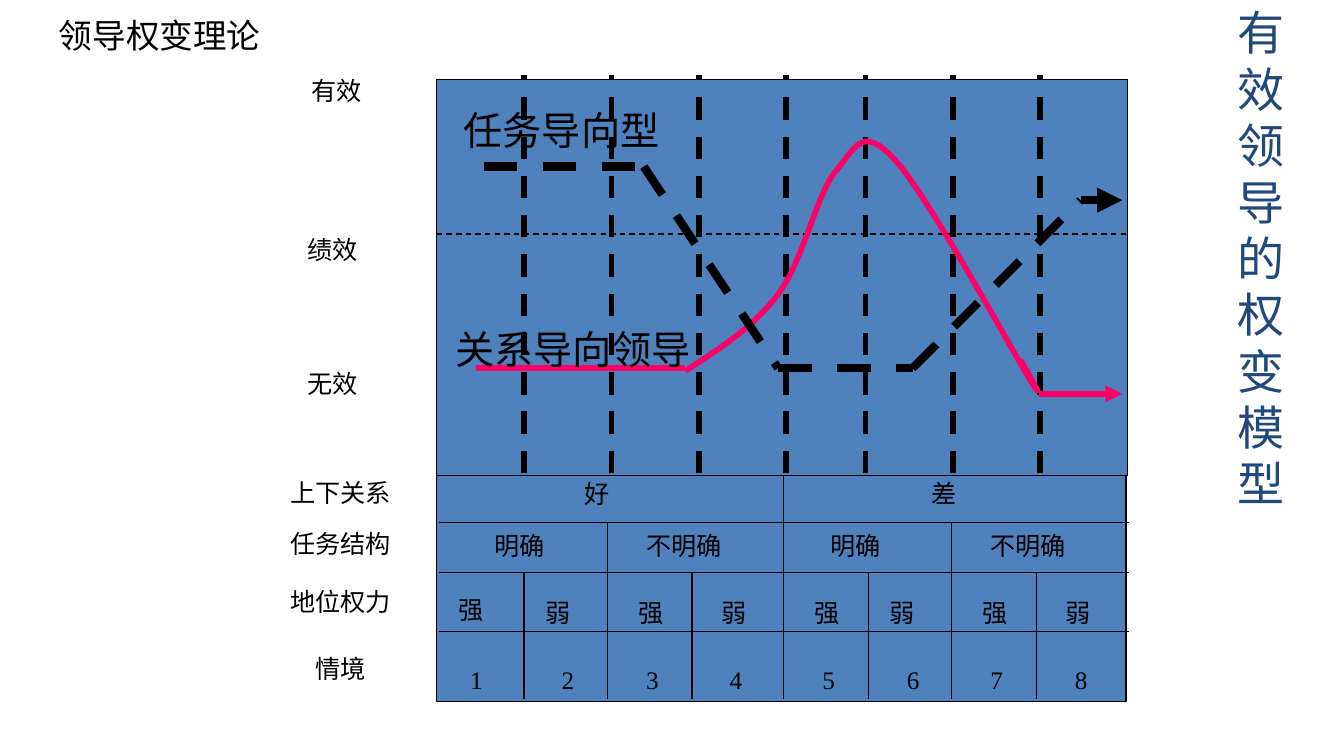
from pptx import Presentation
from pptx.dml.color import RGBColor as RGB
from pptx.enum.dml import MSO_LINE as Dash
from pptx.enum.shapes import MSO_CONNECTOR as Link, MSO_SHAPE as Kind
from pptx.enum.text import MSO_ANCHOR as Anchor, PP_ALIGN as Align
from pptx.oxml.ns import qn
from pptx.util import Inches, Pt
from lxml.etree import SubElement as Sub

BLACK = RGB(0x00, 0x00, 0x00)
BLUE = RGB(0x4F, 0x81, 0xBD)
NAVY = RGB(0x1F, 0x49, 0x7D)
PINK = RGB(0xFF, 0x00, 0x66)
SERIF = "Times New Roman"

deck = Presentation()
deck.slide_width = Inches(10)
deck.slide_height = Inches(10) * 9 // 16
slide = deck.slides.add_slide(deck.slide_layouts[6])
shapes = slide.shapes


def label(text, x, y, w, h=0.33, size=13.5, face=SERIF):
    box = shapes.add_textbox(Inches(x), Inches(y), Inches(w), Inches(h))
    frame = box.text_frame
    frame.word_wrap = True
    frame.vertical_anchor = Anchor.MIDDLE
    frame.margin_top = frame.margin_bottom = 0
    run = frame.paragraphs[0].add_run()
    run.text = text
    run.font.size, run.font.name = Pt(size), face
    run.font.color.rgb = BLACK


def line(x1, y1, x2, y2, width=0.75, color=BLACK, dash=None, arrow=False):
    link = shapes.add_connector(Link.STRAIGHT, Inches(x1), Inches(y1), Inches(x2), Inches(y2))
    link.line.width = Pt(width)
    link.line.color.rgb = color
    if dash:
        link.line.dash_style = dash
    props = link._element.spPr
    if arrow:
        Sub(props.find(qn("a:ln")), qn("a:tailEnd"), type="triangle")
    Sub(props, qn("a:effectLst"))


for text, x, y, w in [
    ("有效", 2.22, 0.51, 0.94), ("绩效", 2.19, 1.69, 0.81), ("无效", 2.19, 2.69, 0.81),
    ("上下关系", 2.06, 3.5, 1.31), ("任务结构", 2.06, 3.88, 1.31),
    ("地位权力", 2.06, 4.31, 1.31), ("情境", 2.25, 4.81, 0.81),
]:
    label(text, x, y, w)

for w, h in [(5.13, 4.63), (5.14, 2.95)]:
    panel = shapes.add_shape(Kind.RECTANGLE, Inches(3.25), Inches(0.59), Inches(w), Inches(h))
    panel.shadow.inherit = False
    panel.fill.solid()
    panel.fill.fore_color.rgb = BLUE
    panel.line.color.rgb = BLACK
    panel.line.width = Pt(0.75)

for y in (3.89, 4.26, 4.7):
    line(3.27, y, 8.4, y)
tops = (4.26, 3.89, 4.26, 3.54, 4.26, 3.89, 4.26)
for x, top in zip((3.9, 4.52, 5.15, 5.83, 6.46, 7.08, 7.71), tops):
    line(x, top, x, 5.2)

for text, x, y, w in [
    ("好", 4.25, 3.51, 0.75), ("差", 6.83, 3.51, 1.19),
    ("明确", 3.58, 3.89, 1.06), ("不明确", 4.71, 3.89, 1),
    ("明确", 6.08, 3.89, 1), ("不明确", 7.27, 3.89, 1.13),
]:
    label(text, x, y, w)
for i, x in enumerate((3.31, 3.96, 4.65, 5.27, 5.96, 6.52, 7.21, 7.83)):
    label("强弱"[i % 2], x, 4.37 if i == 0 else 4.39, 0.5)
for i, x in enumerate((3.4, 4.08, 4.71, 5.33, 6.02, 6.65, 7.27, 7.9), 1):
    label(str(i), x, 4.89, 0.4)

for x in (3.9, 4.55, 5.2, 5.85, 6.44, 7.09, 7.74):
    line(x, 3.52, x, 0.56, 3, dash=Dash.DASH)
line(3.25, 1.74, 8.39, 1.74, dash=Dash.DASH)

line(3.54, 2.74, 5.1, 2.74, 3, PINK)
start = (5.1, 2.76)
bends = [
    ((5.35, 2.6), (5.6, 2.44), (5.79, 2.19)),
    ((5.98, 1.94), (6.08, 1.42), (6.23, 1.26)),
    ((6.37, 1.09), (6.42, 0.93), (6.66, 1.19)),
    ((6.9, 1.45), (7.51, 2.57), (7.66, 2.82)),
    ((7.82, 3.07), (7.6, 2.69), (7.6, 2.69)),
    ((7.6, 2.69), (7.63, 2.76), (7.66, 2.82)),
]
steps = 16
dots = []
last = start
for bend in bends:
    for n in range(1, steps + 1):
        t = n / steps
        u = 1 - t
        dots.append([
            Inches(u**3 * a + 3 * u * u * t * b + 3 * u * t * t * c + t**3 * d)
            for a, b, c, d in zip(last, *bend)
        ])
    last = bend[-1]
pen = shapes.build_freeform(Inches(start[0]), Inches(start[1]))
pen.add_line_segments(dots, close=False)
curve = pen.convert_to_shape()
curve.shadow.inherit = False
curve.fill.background()
curve.line.color.rgb = PINK
curve.line.width = Pt(3)

label("关系导向领导", 3.29, 2.37, 2.06, 0.45, 21)
route = [(3.6, 1.24), (4.79, 1.24), (5.79, 2.74), (6.79, 2.74), (8.04, 1.49), (8.35, 1.49)]
for here, there in zip(route, route[1:]):
    line(*here, *there, 4.5, dash=Dash.DASH, arrow=there == route[-1])
line(7.73, 2.93, 8.35, 2.93, 3, PINK, arrow=True)
label("任务导向型", 3.35, 0.74, 1.88, 0.45, 21)
label("领导权变理论", 0.34, 0.06, 1.75, 0.4, 18, "Noto Sans CJK SC")

title = shapes.add_textbox(Inches(9.06), Inches(0.03), Inches(0.64), Inches(4.28))
frame = title.text_frame
frame.word_wrap = True
frame.margin_top = frame.margin_bottom = 0
para = frame.paragraphs[0]
para.alignment = Align.CENTER
para.line_spacing = Pt(30.2)
for i, char in enumerate("有效领导的权变模型"):
    if i:
        para.add_line_break()
    run = para.add_run()
    run.text = char
    run.font.size, run.font.name = Pt(25.2), "Arial"
    run.font.color.rgb = NAVY

deck.save("out.pptx")
